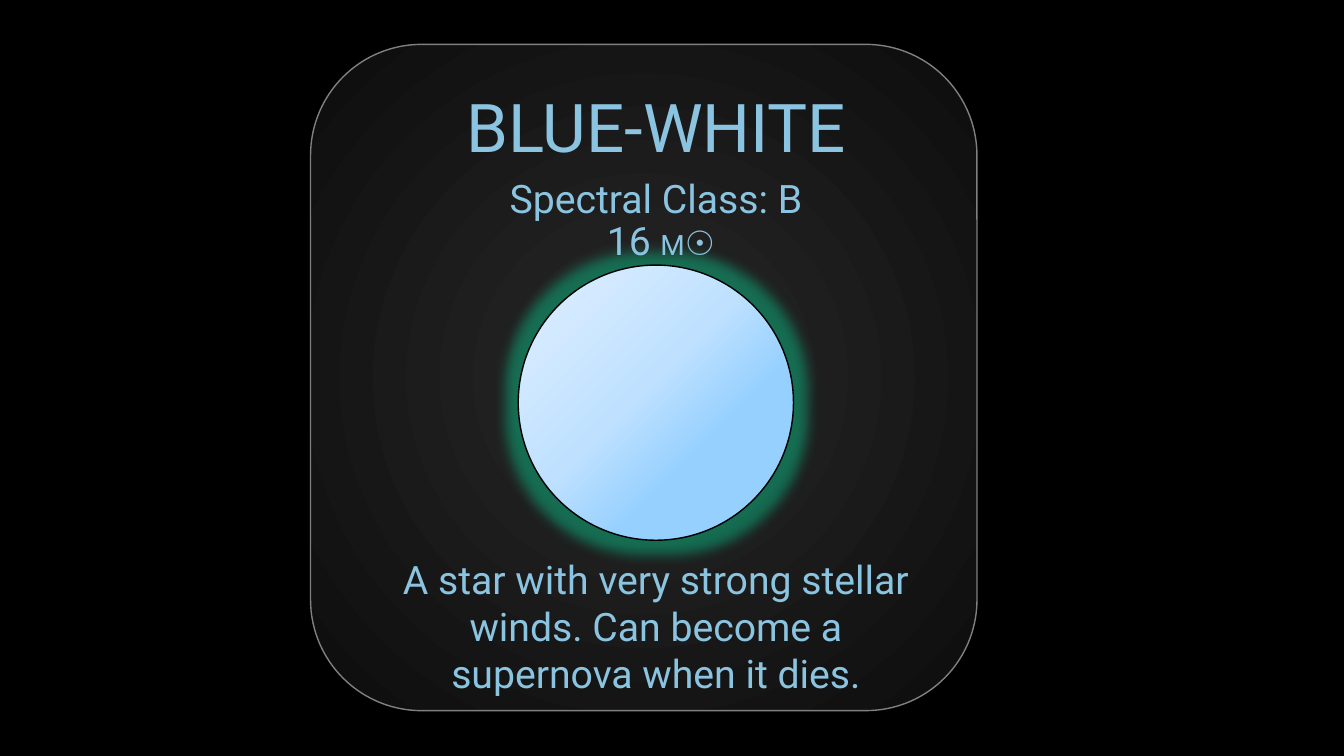
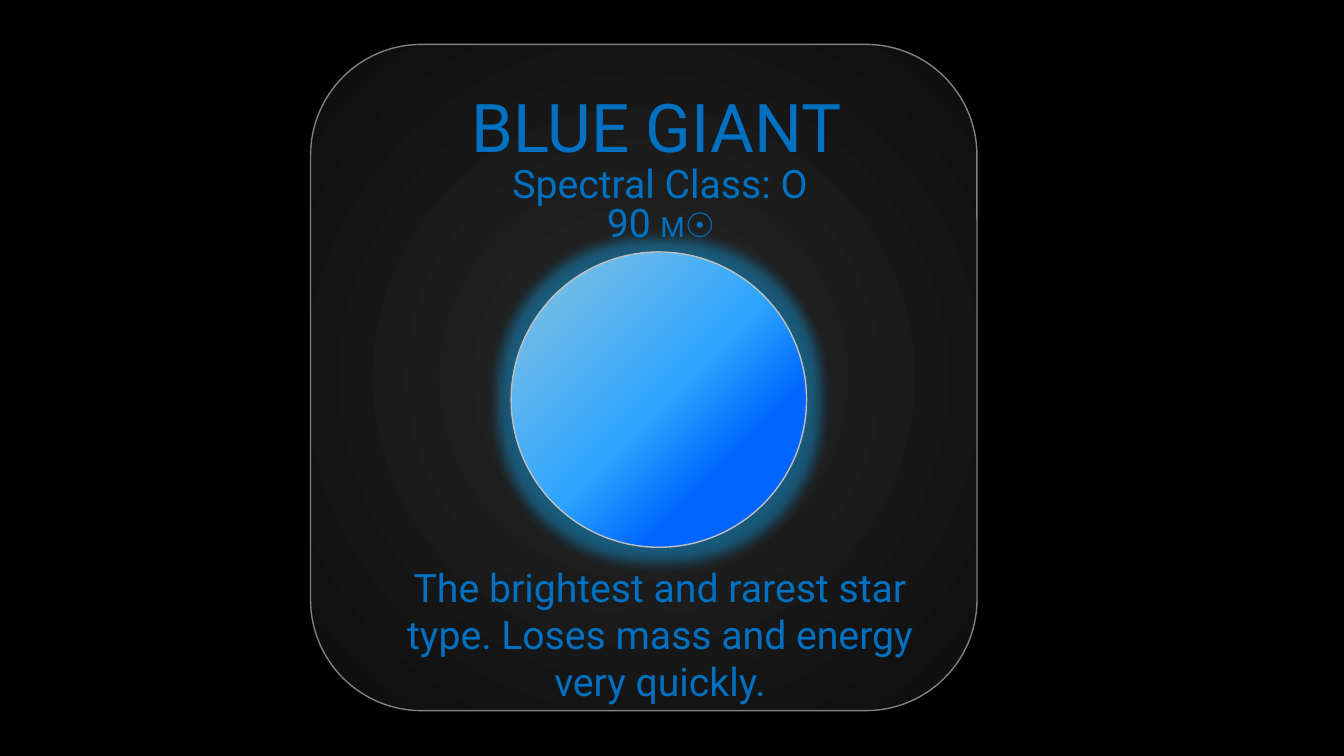
from dataclasses import dataclass
from lxml import etree
from pptx import Presentation
from pptx.dml.color import RGBColor as Rgb
from pptx.enum.shapes import MSO_SHAPE as Shape
from pptx.enum.text import MSO_AUTO_SIZE as Fit, PP_ALIGN as Align
from pptx.oxml.ns import nsdecls
from pptx.util import Inches, Pt


@dataclass(frozen=True)
class Theme:
    font: str = "Roboto"
    back: str = "000000"
    edge: str = "808080"
    card: tuple = ((8, "262626"), (100, "0D0D0D"))
    title: int = 48
    body: int = 28
    unit: int = 20
    sign: int = 24


@dataclass(frozen=True)
class Star:
    name: str
    kind: str
    mass: str
    note: str
    ink: str
    rim: str
    stops: tuple
    glow: tuple   # colour, radius in points
    disc: tuple   # left, top, diameter within the card
    left: float   # left of class and note within the card
    tops: tuple   # tops of class, mass and note within the card


THEME = Theme()
CARD = (3.08, 0.44, 6.61)
STARS = (
    Star("BLUE-WHITE", "B", "16",
         "A star with very strong stellar winds. "
         "Can become a supernova when it dies.",
         "8BC4E0", "000000",
         ((33, "96D0FF"), (55, "BFE1FF"), (100, "E0EFFF")),
         ("05DE9B", 18), (2.06, 2.19, 2.73), 0.68, (1.24, 1.66, 5.02)),
    Star("BLUE GIANT", "O", "90",
         "The brightest and rarest star type. "
         "Loses mass and energy very quickly.",
         "0070C0", "BFBFBF",
         ((28, "0066FF"), (49, "2DA5FF"), (100, "8BC4E0")),
         ("0FAFFF", 18), (1.99, 2.06, 2.93), 0.72, (1.09, 1.48, 5.1)),
)
LINEAR = '<a:lin ang="13500000" scaled="0"/>'
RADIAL = ('<a:path path="circle"><a:fillToRect l="50000" t="50000" '
          'r="50000" b="50000"/></a:path>')


def shade(shape, stops, flow):
    """Fill a shape with a gradient, in front of its line."""
    marks = "".join(f'<a:gs pos="{pos * 1000}"><a:srgbClr val="{tone}"/></a:gs>'
                    for pos, tone in stops)
    fill = etree.fromstring(f'<a:gradFill {nsdecls("a")} rotWithShape="1">'
                            f'<a:gsLst>{marks}</a:gsLst>{flow}</a:gradFill>')
    shape._element.spPr.find("{*}prstGeom").addnext(fill)


def halo(shape, tone, size):
    """Put a soft glow around a shape."""
    glow = etree.fromstring(
        f'<a:glow {nsdecls("a")} rad="{Pt(size)}"><a:srgbClr val="{tone}">'
        '<a:alpha val="40000"/></a:srgbClr></a:glow>')
    shape._element.spPr.find("{*}effectLst").append(glow)


def form(group, kind, left, top, size, stops, flow, line):
    """Add a square-sided shape with a gradient and a thin line."""
    shape = group.shapes.add_shape(kind, Inches(left), Inches(top),
                                   Inches(size), Inches(size))
    shape.shadow.inherit = False
    shade(shape, stops, flow)
    shape.line.color.rgb = Rgb.from_string(line)
    shape.line.width = Pt(1)
    return shape


def write(group, *runs, left, top, width, height, color):
    """Add centred text; each run is a pair of text and size."""
    box = group.shapes.add_textbox(Inches(left), Inches(top),
                                   Inches(width), Inches(height))
    frame = box.text_frame
    frame.word_wrap = True
    frame.auto_size = Fit.SHAPE_TO_FIT_TEXT
    para = frame.paragraphs[0]
    para.alignment = Align.CENTER
    for text, size in runs:
        run = para.add_run()
        run.text = text
        run.font.name = THEME.font
        run.font.size = Pt(size)
        run.font.color.rgb = Rgb.from_string(color)


def draw_card(slide, star, left, top, size):
    group = slide.shapes.add_group_shape()
    # Card and star
    form(group, Shape.ROUNDED_RECTANGLE, left, top, size,
         THEME.card, RADIAL, THEME.edge)
    dx, dy, width = star.disc
    disc = form(group, Shape.OVAL, left + dx, top + dy, width,
                star.stops, LINEAR, star.rim)
    halo(disc, *star.glow)
    # Texts
    kind, mass, note = (top + y for y in star.tops)
    side = left + star.left
    write(group, (star.note, THEME.body), left=side, top=note,
          width=5.49, height=1.51, color=star.ink)
    write(group, (star.name, THEME.title), left=left + 0.89, top=top + 0.36,
          width=5.08, height=0.91, color=star.ink)
    write(group, (f"Spectral Class: {star.kind}", THEME.body), left=side,
          top=kind, width=5.49, height=0.57, color=star.ink)
    write(group, (f"{star.mass} ", THEME.body), ("M", THEME.unit),
          ("☉", THEME.sign), left=left + 2.75, top=mass,
          width=1.45, height=0.57, color=star.ink)


def main():
    deck = Presentation()
    deck.slide_width, deck.slide_height = Inches(13.33), Inches(7.5)
    for star in STARS:
        slide = deck.slides.add_slide(deck.slide_layouts[6])
        back = slide.background.fill
        back.solid()
        back.fore_color.rgb = Rgb.from_string(THEME.back)
        draw_card(slide, star, *CARD)
    deck.save("out.pptx")


if __name__ == "__main__":
    main()
